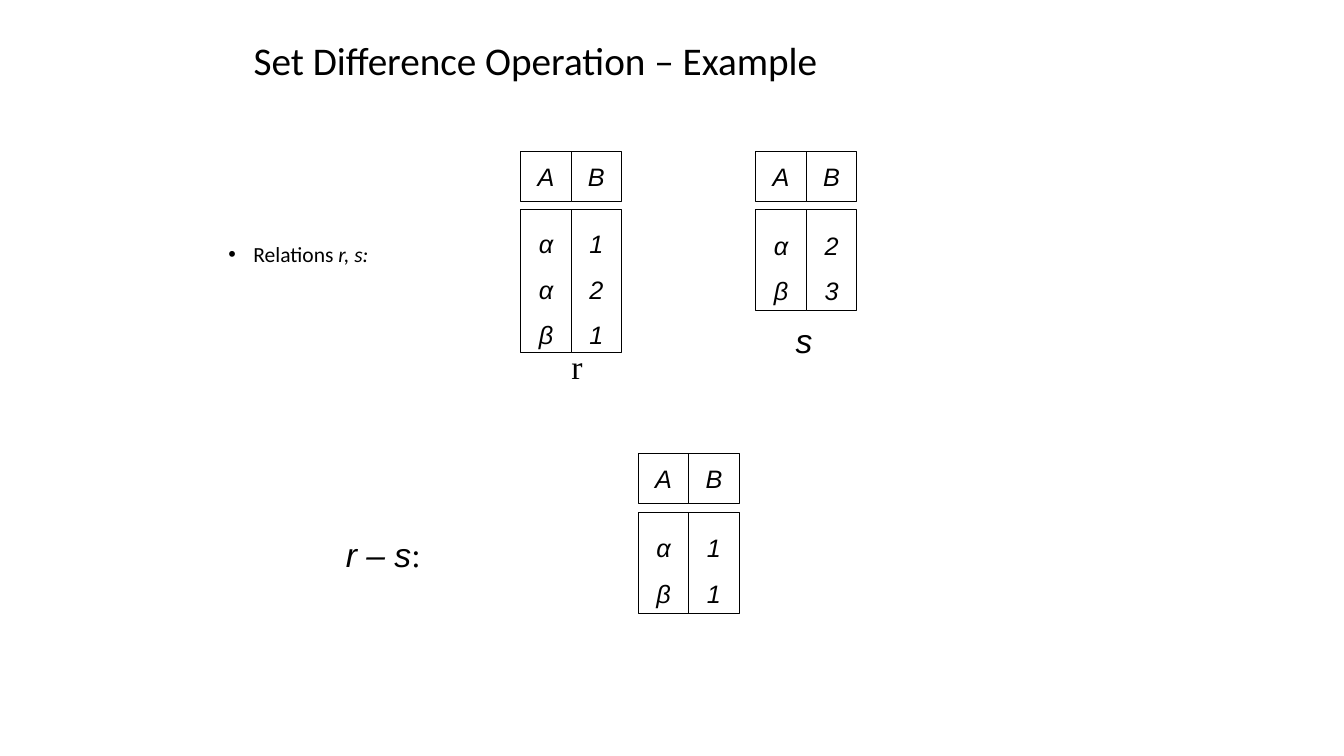
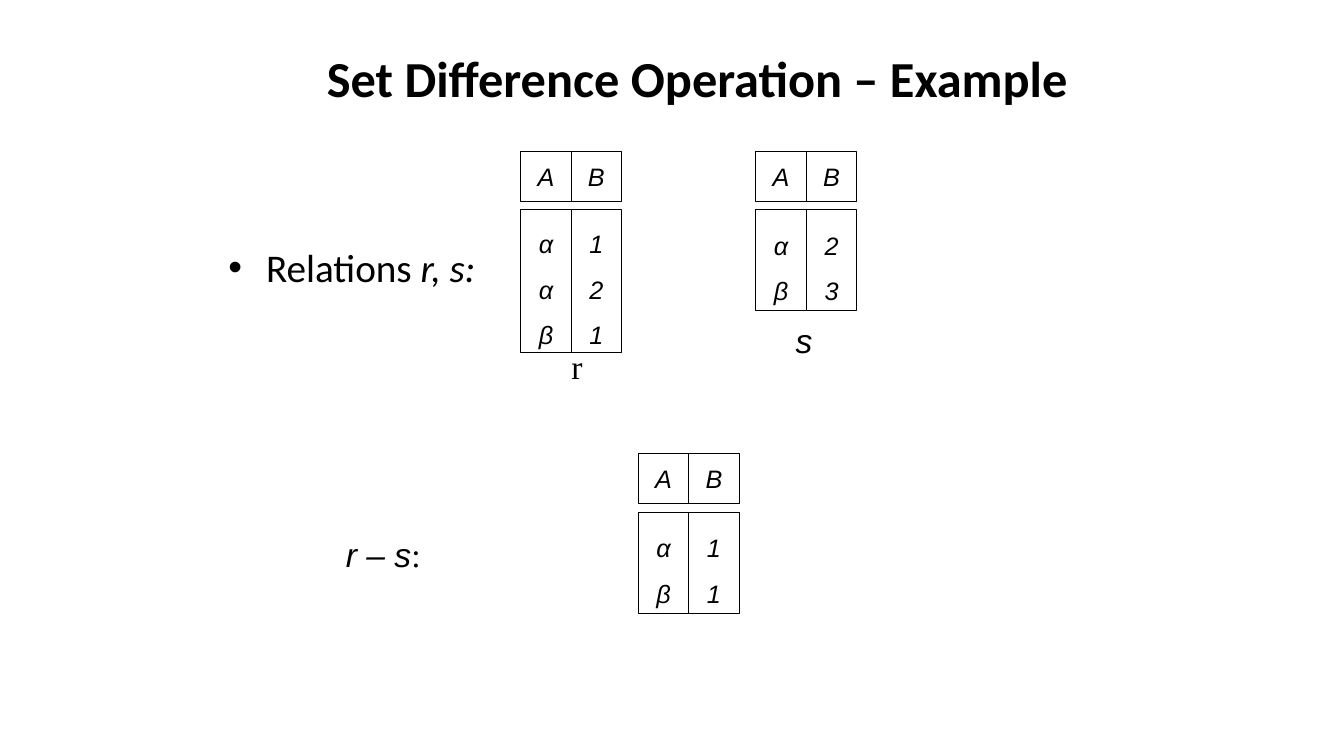
import pptx
import pptx.dml.color
import pptx.enum.shapes
import pptx.enum.text
import pptx.oxml
import pptx.oxml.ns
import pptx.util

Pt = pptx.util.Pt
PP_ALIGN = pptx.enum.text.PP_ALIGN
ANCHOR = pptx.enum.text.MSO_ANCHOR
BLACK = pptx.dml.color.RGBColor(0x00, 0x00, 0x00)
WHITE = pptx.dml.color.RGBColor(0xFF, 0xFF, 0xFF)

TITLE = "Set Difference Operation – Example"
CELL = 36
HEADER_TOP_TO_BODY = 42

# left, top, body height, columns
RELATIONS = [
    (372, 108, 102, {"A": "ααβ", "B": "121"}),
    (540, 108, 72, {"A": "αβ", "B": "23"}),
    (456, 324, 72, {"A": "αβ", "B": "11"}),
]

# title box, title size, bold, alignment, title spacing,
# bullet size, bullet indent, bullet spacing
VARIANTS = [
    ((174, 0, 612, 90), 28, False, PP_ALIGN.LEFT, 0.9, 15.4, 18, 0.7),
    ((174, 21, 648.5, 69), 36, True, PP_ALIGN.CENTER, 1, 28, 27, 0.9),
]


def style(paragraph, size, name=None, italic=None, align=PP_ALIGN.LEFT, spacing=1):
    paragraph.alignment = align
    paragraph.line_spacing = spacing
    paragraph.font.size = Pt(size)
    paragraph.font.color.rgb = BLACK
    if name:
        paragraph.font.name = name
    if italic is not None:
        paragraph.font.italic = italic


def add_label(slide, box, runs, anchor=ANCHOR.TOP, wrap=True):
    """Add a one-paragraph text box of (text, font, italic) runs and return the paragraph."""
    frame = slide.shapes.add_textbox(*map(Pt, box)).text_frame
    frame.word_wrap = wrap
    frame.vertical_anchor = anchor
    paragraph = frame.paragraphs[0]
    for text, font, italic in runs:
        run = paragraph.add_run()
        run.text = text
        run.font.name = font
        run.font.italic = italic
    return paragraph


prs = pptx.Presentation()
prs.slide_width, prs.slide_height = Pt(960), Pt(540)

for (title_box, title_size, bold, title_align, title_spacing,
     bullet_size, bullet_indent, bullet_spacing) in VARIANTS:
    slide = prs.slides.add_slide(prs.slide_layouts[5])

    title = slide.shapes.title
    title.left, title.top, title.width, title.height = map(Pt, title_box)
    title.text_frame.text = TITLE
    title.text_frame.auto_size = pptx.enum.text.MSO_AUTO_SIZE.NONE
    title.text_frame.vertical_anchor = ANCHOR.MIDDLE
    heading = title.text_frame.paragraphs[0]
    style(heading, title_size, "Calibri", align=title_align, spacing=title_spacing)
    heading.font.bold = bold

    relations = add_label(slide, (156, 174, 548, 22),
                          [("Relations ", "Calibri", False), ("r, s:", "Calibri", True)])
    properties = relations._p.get_or_add_pPr()
    properties.set("marL", str(Pt(bullet_indent)))
    properties.set("indent", str(-Pt(bullet_indent)))
    properties.append(pptx.oxml.parse_xml(
        f'<a:buFont {pptx.oxml.ns.nsdecls("a")} typeface="Arial"/>'))
    properties.append(pptx.oxml.parse_xml(
        f'<a:buChar {pptx.oxml.ns.nsdecls("a")} char="•"/>'))
    style(relations, bullet_size, spacing=bullet_spacing)

    difference = add_label(slide, (240, 378, 554, 26),
                           [("r – s", "Arial", True), (":", "Times New Roman", False)])
    style(difference, 24)

    for left, top, body_height, columns in RELATIONS:
        for index, (attribute, values) in enumerate(columns.items()):
            parts = [
                (top, CELL, attribute, 1),
                (top + HEADER_TOP_TO_BODY, body_height, values, 1.5),
            ]
            for part_top, height, entries, spacing in parts:
                cell = slide.shapes.add_shape(
                    pptx.enum.shapes.MSO_SHAPE.RECTANGLE,
                    Pt(left + index * CELL), Pt(part_top), Pt(CELL), Pt(height))
                cell.shadow.inherit = False
                cell.fill.solid()
                cell.fill.fore_color.rgb = WHITE
                cell.line.color.rgb = BLACK
                cell.line.width = Pt(0.75)
                cell.text_frame.word_wrap = False
                cell.text_frame.vertical_anchor = ANCHOR.MIDDLE
                cell.text_frame.text = "\n".join(entries)
                for entry in cell.text_frame.paragraphs:
                    style(entry, 18, "Arial", True, PP_ALIGN.CENTER, spacing)

    s_name = add_label(slide, (561, 225, 26.5, 36), [("s", "Arial", True)],
                       ANCHOR.MIDDLE, wrap=False)
    style(s_name, 24, align=PP_ALIGN.CENTER)
    r_name = add_label(slide, (401, 243.5, 22.5, 36), [("r", "Times New Roman", False)],
                       wrap=False)
    style(r_name, 24)

prs.save("out.pptx")
